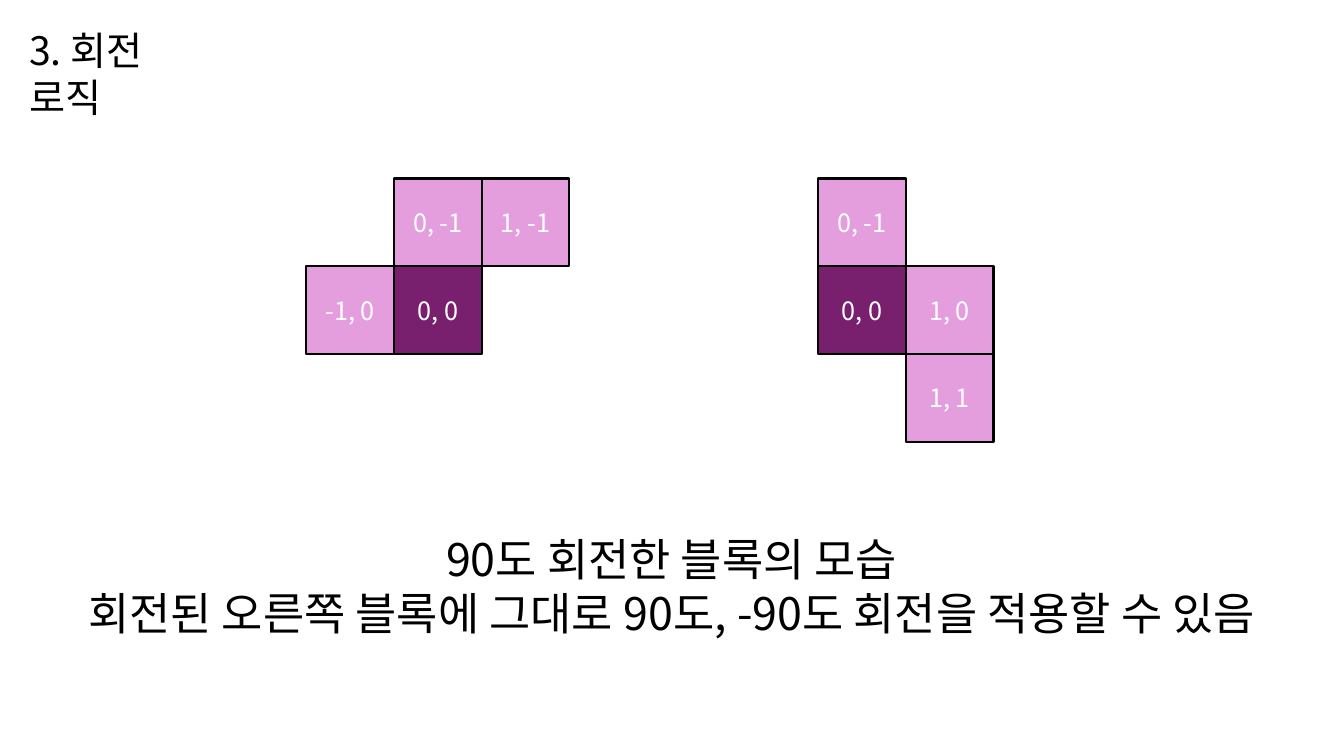
from pptx import Presentation, util as u
from pptx.dml.color import RGBColor
from pptx.enum import shapes, text
from pptx.oxml.ns import qn

FONT = "Noto Sans CJK KR"
COLORS = {"ink": "000000", "label": "FFFFFF", "pivot": "78206E", "block": "E59EDD"}
CELL = 2.21
LEFT_BLOCK = [(0, -1), (0, 0), (-1, 0), (1, -1)]
RIGHT_BLOCK = [(1, 0), (0, 0), (0, -1), (1, 1)]


def color(name):
    """Look up a named colour."""
    return RGBColor.from_string(COLORS[name])


def write(box, lines, size, ink, align, anchor):
    """Fill a box with equally formatted paragraphs."""
    frame = box.text_frame
    frame.text = "\n".join(lines)
    frame.word_wrap = True
    frame.auto_size = text.MSO_AUTO_SIZE.NONE
    frame.vertical_anchor = anchor
    for para in frame.paragraphs:
        para.alignment = align
        para.line_spacing = u.Pt(round(size * 1.2, 1))
        para.font.name = FONT
        para.font.size = u.Pt(size)
        para.font.color.rgb = color(ink)
        for span in para.runs:
            span.font.name = FONT
            east_asian = span.font._element.makeelement(qn("a:ea"), {"typeface": FONT})
            span.font._element.append(east_asian)


def add_title(page, left, top, width, height):
    """Place the heading in the title placeholder."""
    title = page.shapes.title
    title.left, title.top = u.Cm(left), u.Cm(top)
    title.width, title.height = u.Cm(width), u.Cm(height)
    write(title, ["3. 회전 로직"], 28, "ink", text.PP_ALIGN.LEFT, text.MSO_ANCHOR.TOP)


def add_block(page, left, top, cells):
    """Draw a block of squares around the pivot square at left, top."""
    for x, y in cells:
        square = page.shapes.add_shape(
            shapes.MSO_SHAPE.RECTANGLE,
            u.Cm(left + x * CELL), u.Cm(top + y * CELL), u.Cm(CELL), u.Cm(CELL))
        square.shadow.inherit = False
        square.fill.solid()
        square.fill.fore_color.rgb = color("block" if x or y else "pivot")
        square.line.color.rgb = color("ink")
        square.line.width = u.Pt(1.5)
        write(square, [f"{x}, {y}"], 18, "label",
              text.PP_ALIGN.CENTER, text.MSO_ANCHOR.MIDDLE)


def add_caption(page, left, top, width, height):
    """Place the centred explanation below the blocks."""
    caption = page.shapes.add_textbox(u.Cm(left), u.Cm(top), u.Cm(width), u.Cm(height))
    lines = ["90도 회전한 블록의 모습",
             "회전된 오른쪽 블록에 그대로 90도, -90도 회전을 적용할 수 있음"]
    write(caption, lines, 32, "ink", text.PP_ALIGN.CENTER, text.MSO_ANCHOR.TOP)


def main():
    """Build and save the slide."""
    deck = Presentation()
    deck.slide_width, deck.slide_height = u.Cm(33.87), u.Cm(19.05)
    page = deck.slides.add_slide(deck.slide_layouts[5])
    add_title(page, 0.48, 0.53, 5.28, 1.45)
    add_caption(page, 1.78, 13.28, 30.3, 3)
    add_block(page, 20.62, 6.71, RIGHT_BLOCK)
    add_block(page, 9.93, 6.71, LEFT_BLOCK)
    deck.save("out.pptx")


if __name__ == "__main__":
    main()
